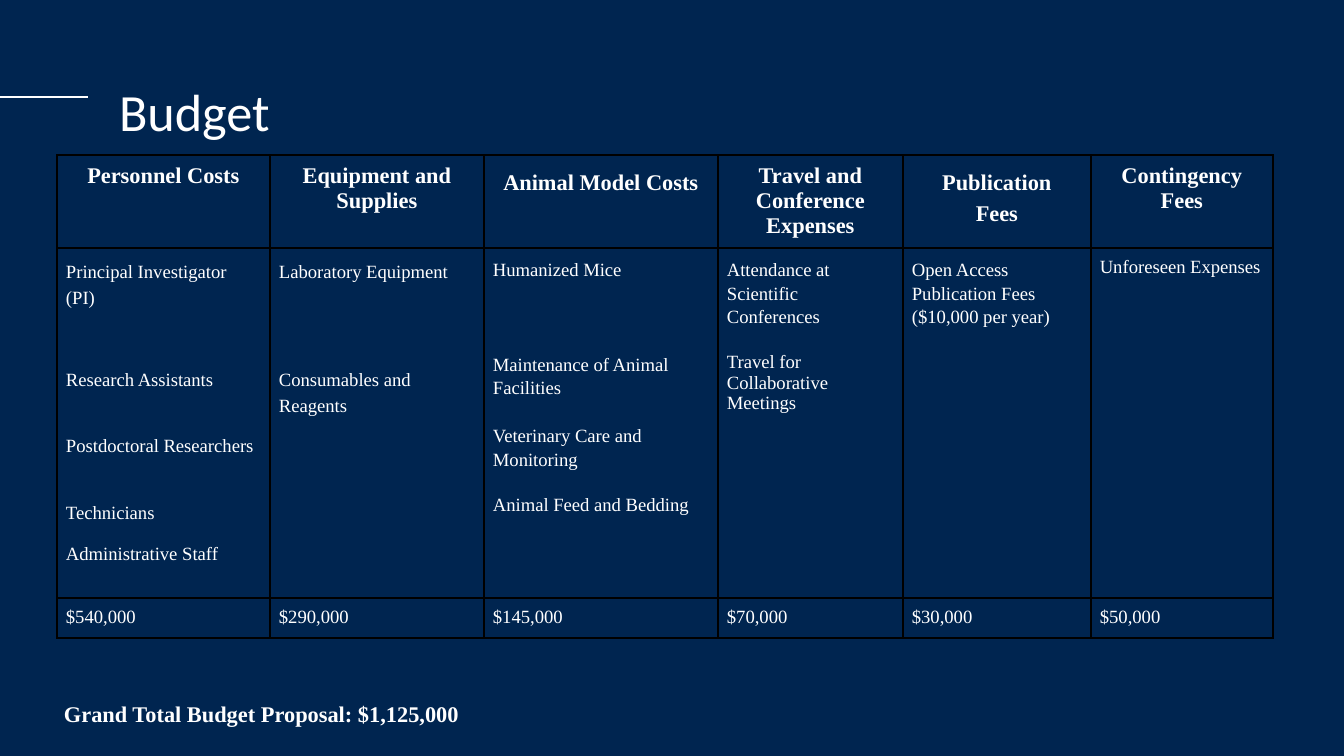
from lxml.etree import SubElement
from pptx import Presentation
from pptx.dml.color import RGBColor
from pptx.enum.shapes import MSO_CONNECTOR
from pptx.enum.text import MSO_ANCHOR, MSO_AUTO_SIZE, PP_ALIGN
from pptx.oxml.ns import qn
from pptx.util import Pt

PX = 9144000 / 1344
NAVY, WHITE, BLACK = "002550", "FFFFFF", "000000"
SERIF = "Times New Roman"

TITLE = "Budget"
TOTAL = "Grand Total Budget Proposal: $1,125,000"

# Each item is (text, line spacing, space before in points).
COLUMNS = [
    {"width": 213, "head": ("Personnel Costs", 1, 0), "cost": "$540,000",
     "items": [("Principal Investigator\n(PI)", 1.25, 0),
               ("Research Assistants", 1.25, 30),
               ("Postdoctoral Researchers", 1.25, 22),
               ("Technicians", 1.25, 22),
               ("Administrative Staff", 1.25, 8)]},
    {"width": 214, "head": ("Equipment and Supplies", 1, 0), "cost": "$290,000",
     "items": [("Laboratory Equipment", 1.25, 0),
               ("Consumables and Reagents", 1.25, 44)]},
    {"width": 234, "head": ("Animal Model Costs", 1.25, 0), "cost": "$145,000",
     "items": [("Humanized Mice", 1.15, 0),
               ("Maintenance of Animal Facilities", 1.15, 38),
               ("Veterinary Care and Monitoring", 1.15, 13),
               ("Animal Feed and Bedding", 1, 13)]},
    {"width": 185, "head": ("Travel and Conference Expenses", 1, 0), "cost": "$70,000",
     "items": [("Attendance at Scientific Conferences", 1.15, 0),
               ("Travel for Collaborative Meetings", 1, 13)]},
    {"width": 188, "head": ("Publication\nFees", 1.25, 0), "cost": "$30,000",
     "items": [("Open Access Publication Fees", 1.15, 0),
               ("($10,000 per year)", 1.15, 0)]},
    {"width": 182, "head": ("Contingency Fees", 1, 0), "cost": "$50,000",
     "items": [("Unforeseen Expenses", 1, 0)]},
]
ROW_HEIGHTS = [93, 350, 40]


def px(*lengths):
    """Turn pixel lengths into EMU."""
    return [round(length * PX) for length in lengths]


def color(value):
    """Turn a hex string into a colour."""
    return RGBColor.from_string(value)


def write(frame, items, size, font=SERIF, bold=False, align=PP_ALIGN.LEFT, inset=13):
    """Fill a text frame or cell with (text, line spacing, space before) items."""
    frame.margin_left = frame.margin_right = px(inset)[0]
    frame.margin_top = frame.margin_bottom = px(inset)[0]
    frame = getattr(frame, "text_frame", frame)
    for index, (text, spacing, before) in enumerate(items):
        para = frame.add_paragraph() if index else frame.paragraphs[0]
        para.text = text
        para.alignment = align
        para.line_spacing = float(spacing)
        if before:
            para.space_before = Pt(before)
        para.font.size, para.font.name, para.font.bold = Pt(size), font, bold
        para.font.color.rgb = color(WHITE)


def add_borders(cell):
    """Draw a thin black line on every side of a cell."""
    props = cell._tc.get_or_add_tcPr()
    for index, side in enumerate(("lnL", "lnR", "lnT", "lnB")):
        line = props.makeelement(qn(f"a:{side}"), {"w": str(Pt(1))})
        fill = SubElement(line, qn("a:solidFill"))
        SubElement(fill, qn("a:srgbClr"), val=BLACK)
        props.insert(index, line)


def add_rule(slide):
    """Draw the white line that leads to the title."""
    rule = slide.shapes.add_connector(MSO_CONNECTOR.STRAIGHT, *px(0, 97, 88, 97))
    rule.line.color.rgb = color(WHITE)
    rule.line.width = Pt(0.75)
    SubElement(rule._element.spPr, qn("a:effectLst"))


def add_title(slide):
    """Move and format the title placeholder."""
    title = slide.shapes.title
    title.left, title.top, title.width, title.height = px(106, 66, 1133, 85)
    frame = title.text_frame
    frame.auto_size = MSO_AUTO_SIZE.NONE
    frame.vertical_anchor = MSO_ANCHOR.TOP
    write(frame, [(TITLE, 1, 0)], 28, "Calibri")


def add_budget_table(slide):
    """Build the table of costs, one column per category."""
    widths = [column["width"] for column in COLUMNS]
    table = slide.shapes.add_table(
        len(ROW_HEIGHTS), len(COLUMNS),
        *px(57, 155, sum(widths), sum(ROW_HEIGHTS))).table
    table.first_row = table.horz_banding = False
    for row, height in zip(table.rows, px(*ROW_HEIGHTS)):
        row.height = height
    for index, (column, width) in enumerate(zip(COLUMNS, px(*widths))):
        table.columns[index].width = width
        head, body, cost = (table.cell(row, index) for row in range(3))
        write(head, [column["head"]], 12, bold=True, align=PP_ALIGN.CENTER, inset=9)
        write(body, column["items"], 10, inset=9)
        write(cost, [(column["cost"], 1, 0)], 10, inset=9)
        for cell in (head, body, cost):
            cell.fill.background()
            add_borders(cell)


def add_total(slide):
    """Place the grand total under the table."""
    box = slide.shapes.add_textbox(*px(51, 680, 441, 54))
    box.text_frame.word_wrap = True
    write(box.text_frame, [(TOTAL, 1.25, 0)], 12, bold=True)


def main():
    """Build and save the deck."""
    deck = Presentation()
    deck.slide_width, deck.slide_height = px(1344, 756)
    slide = deck.slides.add_slide(deck.slide_layouts[5])
    slide.background.fill.solid()
    slide.background.fill.fore_color.rgb = color(NAVY)
    add_rule(slide)
    add_title(slide)
    add_budget_table(slide)
    add_total(slide)
    deck.save("out.pptx")


if __name__ == "__main__":
    main()
